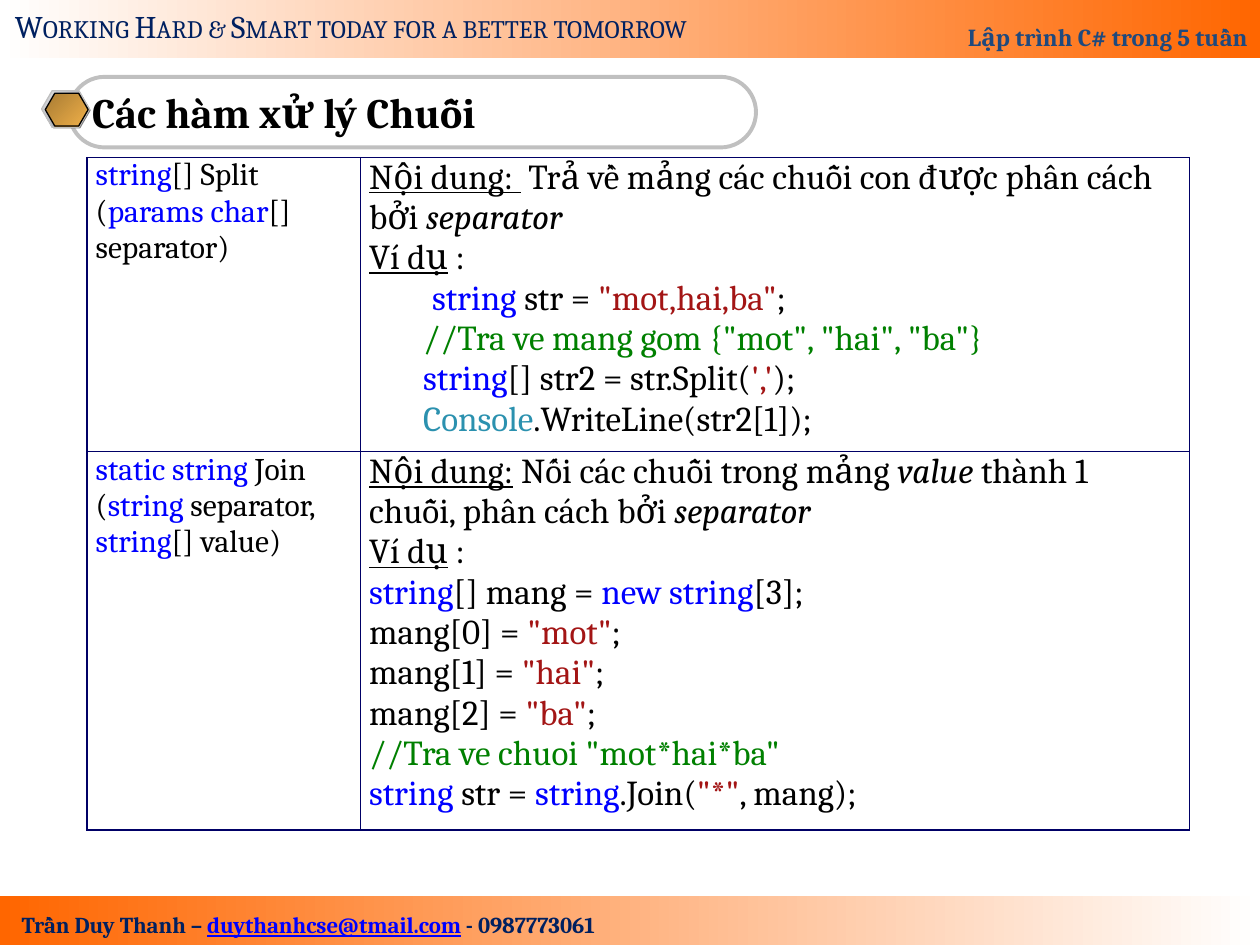
from lxml import etree
from pptx import Presentation
from pptx.dml.color import RGBColor
from pptx.enum.shapes import MSO_SHAPE
from pptx.enum.text import MSO_ANCHOR, PP_ALIGN
from pptx.oxml.ns import qn
from pptx.util import Inches, Pt

RECT, PILL, HEX = MSO_SHAPE.RECTANGLE, MSO_SHAPE.ROUNDED_RECTANGLE, MSO_SHAPE.HEXAGON
LEFT, RIGHT, CENTER = PP_ALIGN.LEFT, PP_ALIGN.RIGHT, PP_ALIGN.CENTER
TOP, MIDDLE, BOTTOM = MSO_ANCHOR.TOP, MSO_ANCHOR.MIDDLE, MSO_ANCHOR.BOTTOM

WIDE, HIGH = Inches(10), Inches(7.5)
FONT = "Cambria"
NAVY, BLACK, WHITE, ORANGE, GREY = "002060", "000000", "FFFFFF", "FF6600", "C0C0C0"
BORDER = "000066"

KEY = {"tint": "0000FF"}
STR = {"tint": "A31515"}
NOTE = {"tint": "008000"}
TYPE = {"tint": "2B91AF"}
LINE = {"under": True}
SLANT = {"slant": True}
PAD = " " * 7

EXAMPLE = [("Ví dụ", LINE), " :"]

SPLIT = [[("string", KEY), "[] Split (", ("params char", KEY), "[] separator)"]]
SPLIT_USE = [
    [("Nội dung: ", LINE), " Trả về mảng các chuỗi con được phân cách bởi ",
     ("separator", SLANT)],
    EXAMPLE,
    ["\t", ("string", KEY), " str = ", ('"mot,hai,ba"', STR), ";"],
    [PAD, ('//Tra ve mang gom {"mot", "hai", "ba"}', NOTE)],
    [PAD, ("string", KEY), "[] str2 = str.Split(", ("','", STR), ");"],
    [PAD, ("Console", TYPE), ".WriteLine(str2[1]);"],
]
JOIN = [[("static string", KEY), " Join (", ("string", KEY), " separator, ",
         ("string", KEY), "[] value)"]]
JOIN_USE = [
    [("Nội dung:", LINE), " Nối các chuỗi trong mảng ", ("value ", SLANT),
     "thành 1 chuỗi, phân cách bởi ", ("separator", SLANT)],
    EXAMPLE,
    [("string", KEY), "[] mang = ", ("new string", KEY), "[3];"],
    *[[f"mang[{i}] = ", (f'"{word}"', STR), ";"]
      for i, word in enumerate(("mot", "hai", "ba"))],
    [('//Tra ve chuoi "mot*hai*ba"', NOTE)],
    [("string", KEY), " str = ", ("string", KEY), ".Join(", ('"*"', STR), ", mang);"],
]


def rgb(code):
    return RGBColor.from_string(code)


def across(share):
    return int(WIDE * share / 100)


def down(share):
    return int(HIGH * share / 100)


def place(x, y, w, h):
    """Turn percentages of the slide into a position and a size."""
    return across(x), down(y), across(w), down(h)


def write(para, text, size=20, tint=BLACK, bold=False, under=False, slant=False, caps=False):
    run = para.add_run()
    run.text = text
    font = run.font
    font.name, font.size, font.color.rgb = FONT, Pt(size), rgb(tint)
    font.bold, font.underline, font.italic = bold, under, slant
    if caps:
        font._element.set("cap", "small")


def fill_text(frame, lines, align=LEFT, anchor=TOP, **base):
    """Write lines of runs; a run is a string or a (string, format) pair."""
    frame.word_wrap = True
    frame.vertical_anchor = anchor
    for i, line in enumerate(lines):
        para = frame.add_paragraph() if i else frame.paragraphs[0]
        para.alignment = align
        for part in line:
            text, extra = (part, {}) if isinstance(part, str) else part
            write(para, text, **{**base, **extra})


def shape(shapes, kind, area, fill=None, line=None, width=0.75, angle=0, adj=None):
    """Fill may be None, one colour, or a pair of gradient colours."""
    item = shapes.add_shape(kind, *place(*area))
    item.shadow.inherit = False
    if fill is None:
        item.fill.background()
    elif isinstance(fill, str):
        item.fill.solid()
        item.fill.fore_color.rgb = rgb(fill)
    else:
        item.fill.gradient()
        item.fill.gradient_angle = angle
        for stop, tint in zip(item.fill.gradient_stops, fill):
            stop.color.rgb = rgb(tint)
    if line:
        item.line.color.rgb = rgb(line)
        item.line.width = Pt(width)
    else:
        item.line.fill.background()
    if adj is not None:
        item.adjustments[0] = adj
    return item


def label(shapes, area, line, **fmt):
    box = shapes.add_textbox(*place(*area))
    fill_text(box.text_frame, [line], **fmt)


def frame_cell(cell):
    """Draw the four borders and leave the cell unfilled."""
    props = cell._tc.get_or_add_tcPr()
    for side in ("a:lnL", "a:lnR", "a:lnT", "a:lnB"):
        edge = etree.SubElement(props, qn(side), w=str(Pt(1)))
        solid = etree.SubElement(edge, qn("a:solidFill"))
        etree.SubElement(solid, qn("a:srgbClr"), val=BORDER)
    cell.fill.background()


def grid(shapes, x, y, cols, rows, cells):
    area = place(x, y, sum(cols), sum(rows))
    table = shapes.add_table(len(rows), len(cols), *area).table
    table.first_row = table.horz_banding = False
    for col, share in zip(table.columns, cols):
        col.width = across(share)
    for r, share in enumerate(rows):
        table.rows[r].height = down(share)
        for c, lines in enumerate(cells[r]):
            cell = table.cell(r, c)
            cell.margin_left = cell.margin_right = Inches(0.07)
            cell.margin_top = cell.margin_bottom = 0
            frame_cell(cell)
            fill_text(cell.text_frame, lines, size=20 if c else 18)


def bands(shapes):
    shape(shapes, RECT, (0, 94.8, 100, 5.2), (ORANGE, WHITE))
    head = shape(shapes, RECT, (0, 0, 100, 6.13), (WHITE, ORANGE))
    fill_text(head.text_frame, [["Lập trình C# trong 5 tuần"]], align=RIGHT,
              anchor=BOTTOM, size=14, tint="1F497D", bold=True)
    head.text_frame.paragraphs[0].line_spacing = 1.8
    label(shapes, (-0.8, 95.73, 50.5, 4.27),
          ["Trần Duy Thanh – ", ("duythanhcse@tmail.com", {**KEY, **LINE}), " - 0987773061"],
          align=CENTER, size=13, tint=NAVY, bold=True)
    label(shapes, (0.2, 0.13, 59, 5.33),
          ["Working Hard & Smart today for a better tomorrow"],
          size=18, tint=NAVY, caps=True)


def title(shapes):
    group = shapes.add_group_shape().shapes
    pill = shape(group, PILL, (5.5, 8.13, 54.5, 7.47), line=GREY, width=2.25, adj=0.5)
    fill_text(pill.text_frame, [["Các hàm xử lý Chuỗi"]], anchor=MIDDLE, size=24, bold=True)
    for area, fill, line in (
        ((3.4, 9.73, 3.8, 3.87), "808080", None),
        ((3.3, 9.6, 3.8, 3.87), ("E6E6E6", "7D8496"), GREY),
        ((3.6, 9.87, 3.4, 3.47), ("A87B33", "EFB049"), BLACK),
    ):
        shape(group, HEX, area, fill, line, angle=315, adj=0.29)


def main():
    deck = Presentation()
    deck.slide_width, deck.slide_height = WIDE, HIGH
    shapes = deck.slides.add_slide(deck.slide_layouts[6]).shapes
    bands(shapes)
    title(shapes)
    grid(shapes, 6.9, 16.67, (21.7, 65.8), (29.87, 38.4),
         ((SPLIT, SPLIT_USE), (JOIN, JOIN_USE)))
    deck.save("out.pptx")


if __name__ == "__main__":
    main()
